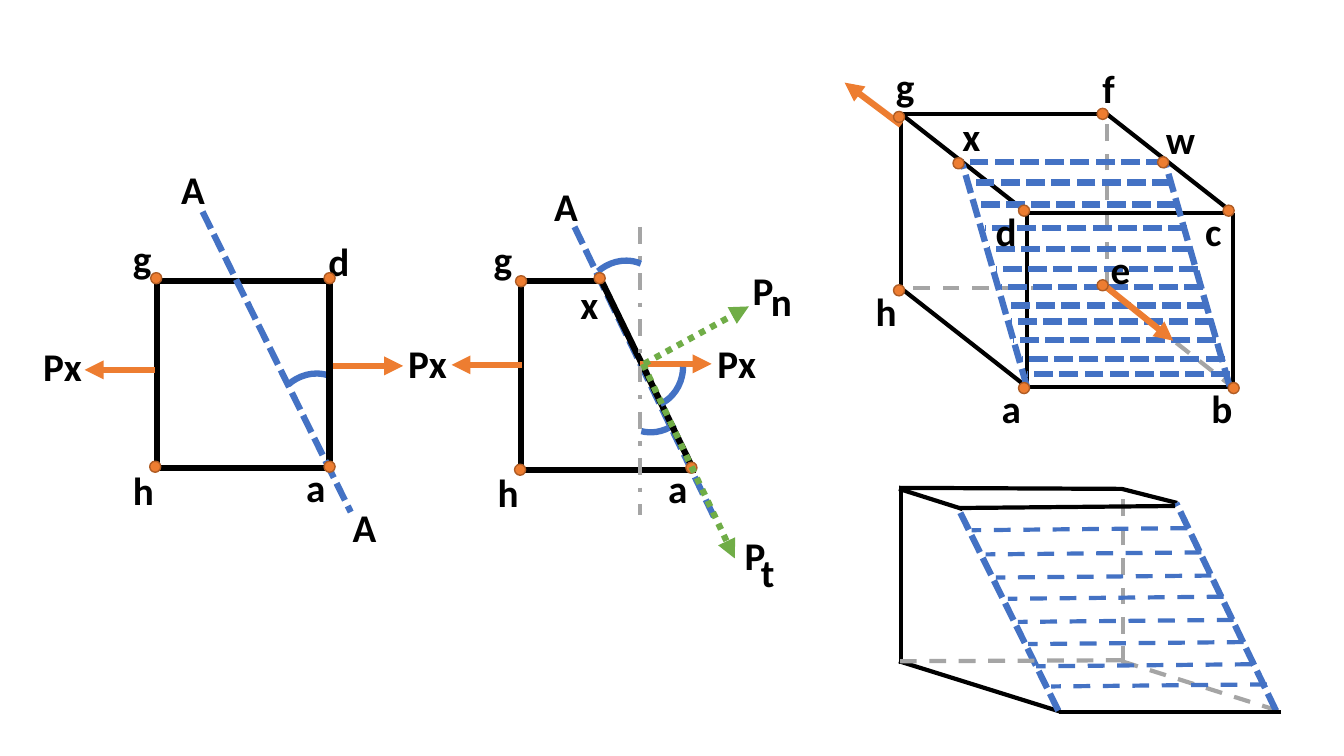
from dataclasses import dataclass
from lxml.etree import SubElement
from pptx import Presentation
from pptx.dml.color import RGBColor
from pptx.enum.dml import MSO_LINE
from pptx.enum.shapes import MSO_CONNECTOR, MSO_SHAPE
from pptx.enum.text import PP_ALIGN
from pptx.oxml.ns import qn
from pptx.util import Cm, Pt

CELL = 2.54
DOT = 0.11
ARC_WIDTH, ARC_HEIGHT = 0.86, 0.79
BLACK, BLUE, ORANGE = "000000", "4472C4", "ED7D31"
GREY, GREEN, BROWN = "A5A5A5", "70AD47", "AF5C24"

SOLID = (BLACK, 4.5, None, False)
EDGE = (BLACK, 3, None, False)
HIDDEN = (GREY, 3, MSO_LINE.DASH, False)
AXIS = (GREY, 3, MSO_LINE.DASH_DOT, False)
PLANE = (BLUE, 4.5, MSO_LINE.SQUARE_DOT, False)
SLICE = (BLUE, 3, MSO_LINE.DASH, False)
FORCE = (ORANGE, 4.5, None, True)
COMPONENT = (GREEN, 4.5, MSO_LINE.ROUND_DOT, True)


def color(value):
    return RGBColor.from_string(value)


@dataclass
class Region:
    slide: object
    left: float
    top: float
    width: float
    height: float

    def place(self, x, y):
        return Cm((self.left + x) * CELL), Cm((self.top + y) * CELL)

    def line(self, style, x1, y1, x2, y2):
        line_color, width, dash, arrow = style
        connector = self.slide.shapes.add_connector(
            MSO_CONNECTOR.STRAIGHT, *self.place(x1, y1), *self.place(x2, y2))
        connector.line.color.rgb = color(line_color)
        connector.line.width = Pt(width)
        if dash:
            connector.line.dash_style = dash
        properties = connector._element.spPr
        if arrow:
            SubElement(properties.find(qn("a:ln")), qn("a:tailEnd"), type="triangle")
        SubElement(properties, qn("a:effectLst"))

    def lines(self, style, *ends):
        for end in ends:
            self.line(style, *end)

    def dots(self, *centers):
        for x, y in centers:
            shape = self.slide.shapes.add_shape(
                MSO_SHAPE.OVAL, *self.place(x - DOT / 2, y - DOT / 2),
                Cm(DOT * CELL), Cm(DOT * CELL))
            shape.shadow.inherit = False
            shape.fill.solid()
            shape.fill.fore_color.rgb = color(ORANGE)
            shape.line.color.rgb = color(BROWN)
            shape.line.width = Pt(1)

    def arc(self, x, y, rotation, start=289.1):
        shape = self.slide.shapes.add_shape(
            MSO_SHAPE.ARC, *self.place(x, y), Cm(ARC_WIDTH * CELL), Cm(ARC_HEIGHT * CELL))
        shape.shadow.inherit = False
        shape.adjustments[0] = start * 0.6
        shape.adjustments[1] = 351.84 * 0.6
        shape.rotation = rotation
        shape.fill.background()
        shape.line.color.rgb = color(BLUE)
        shape.line.width = Pt(4.5)

    def labels(self, *entries):
        for text, x, y in entries:
            width = 0.63 if len(text) > 1 else 0.4
            box = self.slide.shapes.add_textbox(
                *self.place(x, y), Cm(width * CELL), Cm(0.57 * CELL))
            box.text_frame.word_wrap = True
            paragraph = box.text_frame.paragraphs[0]
            paragraph.text = text
            paragraph.alignment = PP_ALIGN.LEFT
            paragraph.font.name = "Calibri"
            paragraph.font.size = Pt(28)
            paragraph.font.bold = True
            paragraph.font.color.rgb = color(BLACK)


def draw_whole_square(region):
    width, height = region.width, region.height
    region.arc(1.12, 0.94, 302.8)
    for x in (0, width):
        region.line(SOLID, x, -0.02, x, height + 0.01)
    for y in (0, height):
        region.line(SOLID, -0.02, y, width + 0.02, y)
    region.line(PLANE, 0.45, -0.69, 1.92, 2.29)
    region.lines(FORCE, (-0.02, 0.88, -0.72, 0.88), (1.74, 0.84, 2.44, 0.84))
    region.labels(("Px", -1.23, 0.56), ("A", 0.14, -1.2), ("A", 1.84, 2.15),
                  ("d", 1.6, -0.48), ("g", -0.34, -0.51),
                  ("h", -0.34, 1.79), ("a", 1.38, 1.76))
    region.dots((-0.01, -0.03), (-0.02, 1.84), (width, 1.84), (width, -0.03))


def draw_cut_square(region):
    width, height = region.width, region.height
    region.arc(0.88, 0.68, 114, 303.86)
    region.line(PLANE, 0.53, -0.54, 1.92, 2.35)
    region.lines(SOLID, (0, 0, 0, height + 0.02), (-0.01, height, width + 0.02, height),
                 (-0.03, 0, 0.81, 0), (0.79, -0.02, width - 0.01, height))
    region.lines(FORCE, (1.18, 0.82, 1.89, 0.82), (0.01, 0.83, -0.69, 0.83))
    region.line(AXIS, 1.18, -0.54, 1.18, 2.32)
    region.arc(0.58, -0.18, 302.8)
    region.arc(0.78, 0.43, 74.5)
    region.dots((1.69, 1.85), (0, 0), (-0.01, height))
    region.lines(COMPONENT, (1.22, 0.82, 2.26, 0.25), (1.21, 0.82, 2.12, 2.75))
    region.labels(("Px", 1.85, 0.53), ("Px", -1.22, 0.53), ("a", 1.36, 1.77),
                  ("g", -0.37, -0.5), ("h", -0.33, 1.81), ("A", 0.23, -1.03),
                  ("P", 2.2, -0.2), ("P", 2.12, 2.43), ("n", 2.38, -0.09),
                  ("t", 2.28, 2.6), ("x", 0.49, -0.06))
    region.dots((0.78, -0.03))


def draw_cube(region):
    depth_x, depth_y = 1.25, 0.98
    face_x, face_y = region.width - depth_x, region.height - depth_y
    for x in (0, face_x):
        for y in (0, face_y):
            style = HIDDEN if x and y else EDGE
            region.line(style, x, y, x + depth_x, y + depth_y)
    region.lines(EDGE, (0, face_y, 0, 0), (face_x, 0, 0, 0))
    region.lines(HIDDEN, (face_x, face_y, face_x, 0), (face_x, face_y, 0, face_y))
    for x in (depth_x, region.width):
        region.line(EDGE, x, region.height, x, depth_y)
    for y in (depth_y, region.height):
        region.line(EDGE, region.width, y, depth_x, y)

    region.lines(PLANE, (1.25, 2.71, 0.61, 0.5), (3.26, 2.7, 2.62, 0.48))
    slice_ends = ((2.62, 0.48), (2.68, 0.68), (2.73, 0.9), (2.84, 1.13),
                  (2.88, 1.34), (2.95, 1.54), (3, 1.72), (3.03, 1.9),
                  (3.1, 2.06), (3.12, 2.24), (3.21, 2.43), (3.26, 2.58))
    for x, y in slice_ends:
        region.line(PLANE, x, y, x - 2.01, y)
    region.lines(FORCE, (0, 0.11, -0.56, -0.31), (2.04, 1.72, 2.7, 2.25))

    region.labels(("a", 0.9, 2.63), ("b", 2.98, 2.63), ("c", 2.92, 0.88),
                  ("d", 0.84, 0.88), ("f", 1.9, -0.54), ("g", -0.15, -0.56),
                  ("h", -0.35, 1.67), ("x", 0.51, -0.06), ("w", 2.53, -0.04),
                  ("e", 1.98, 1.25))
    region.dots((1.22, 2.72), (3.3, 2.72), (3.25, 0.96), (1.22, 0.96), (2, 0),
                (-0.02, 0.03), (-0.02, 1.75), (0.57, 0.49), (2.6, 0.48), (2, 1.7))


def draw_cut_cube(region):
    width, height = region.width, region.height
    region.lines(EDGE, (0.01, 1.74, 0.01, 0), (-0.01, 0, 0.62, 0.2),
                 (-0.01, 1.71, 1.59, height))
    region.line(PLANE, 1.57, 2.2, 0.58, 0.2)
    region.lines(HIDDEN, (2.21, 1.73, 2.21, -0.01), (2.2, 1.71, width, height))
    region.line(EDGE, 2.2, 0, 2.75, 0.14)
    region.line(PLANE, 3.73, 2.2, 2.74, 0.14)
    region.lines(EDGE, (2.2, 0, -0.01, -0.01), (2.73, 0.17, 0.59, 0.19),
                 (width, height, 1.58, height))
    region.line(HIDDEN, 2.21, 1.7, 0, 1.71)
    slice_ends = ((2.85, 0.39), (2.99, 0.63), (3.09, 0.86), (3.21, 1.07),
                  (3.31, 1.3), (3.41, 1.52), (3.49, 1.74), (3.64, 1.94))
    for x, y in slice_ends:
        region.line(SLICE, x, y, x - 2.14, y + 0.02)


def main():
    presentation = Presentation()
    presentation.slide_width = Cm(33.87)
    presentation.slide_height = Cm(19.05)
    slide = presentation.slides.add_slide(presentation.slide_layouts[6])
    draw_whole_square(Region(slide, 1.56, 2.79, 1.71, 1.85))
    draw_cut_square(Region(slide, 5.17, 2.79, 1.72, 1.87))
    draw_cube(Region(slide, 8.94, 1.13, 3.29, 2.71))
    draw_cut_cube(Region(slide, 8.93, 4.85, 3.78, 2.21))
    presentation.save("out.pptx")


if __name__ == "__main__":
    main()
